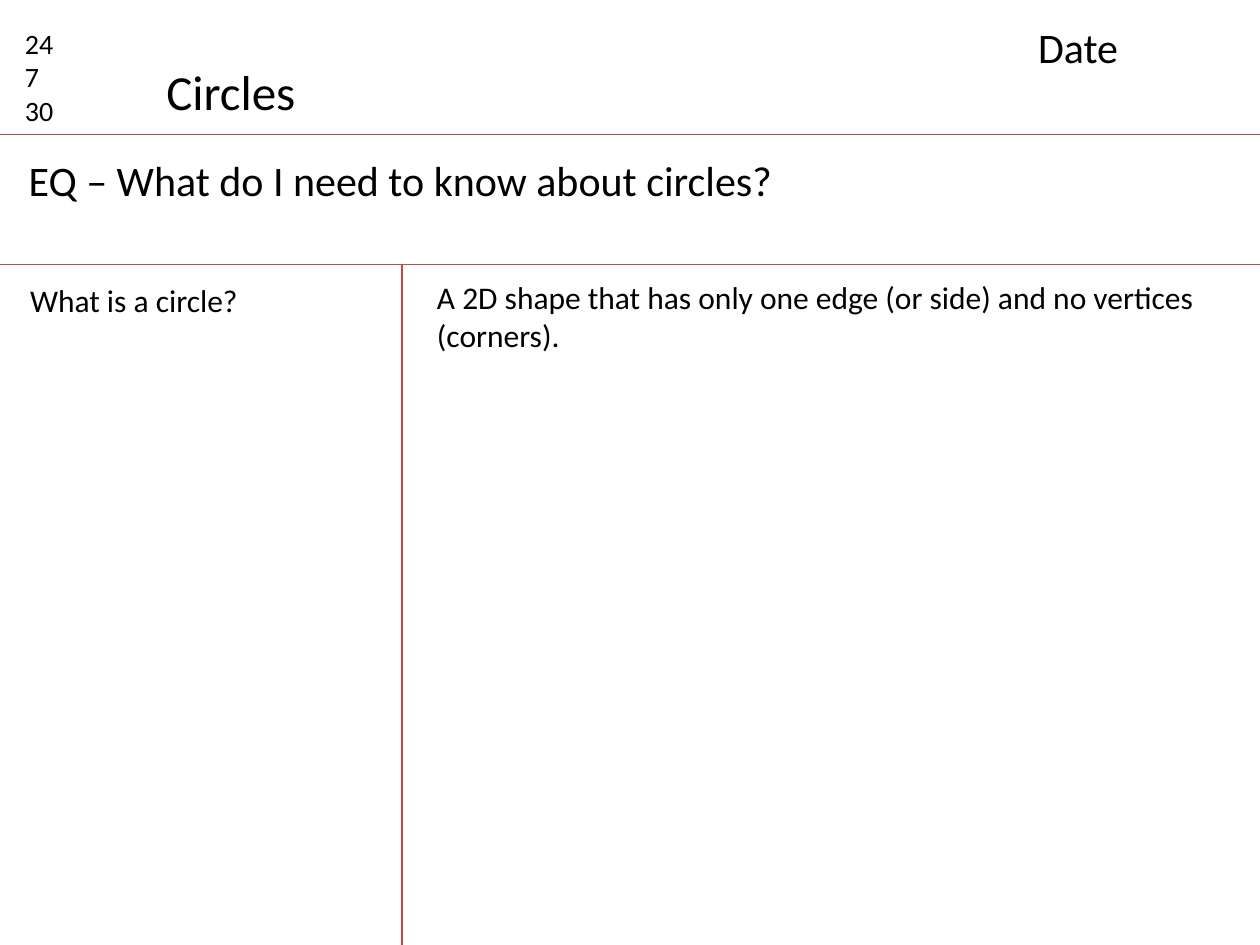
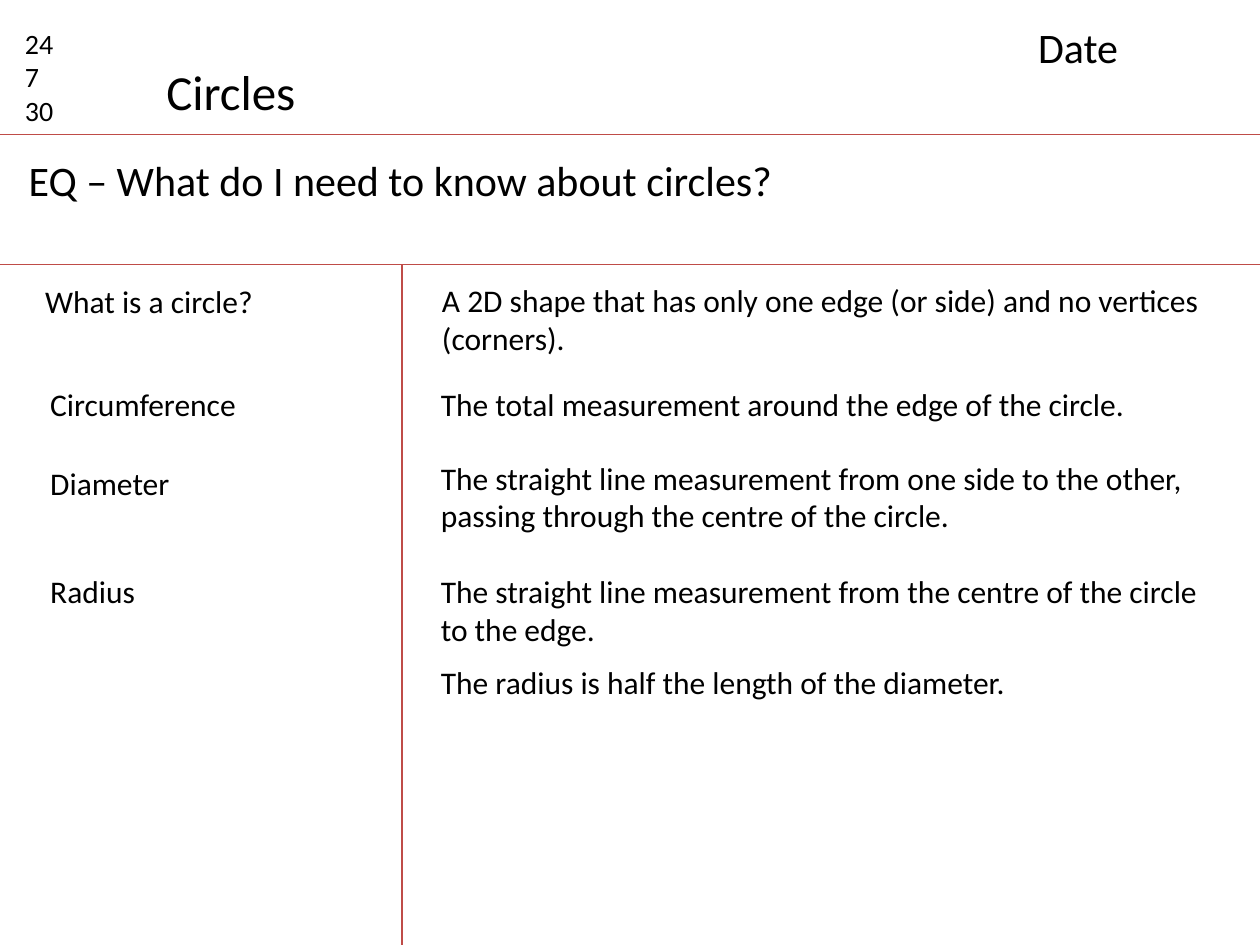
import dataclasses

import pptx
import pptx.dml.color
import pptx.enum.shapes
import pptx.enum.text
import pptx.oxml
import pptx.oxml.ns
import pptx.util

Inches = pptx.util.Inches
TITLE_ONLY = 5


@dataclasses.dataclass(frozen=True)
class Theme:
    """Colours, font and type sizes shared by the slides."""
    font: str = "Calibri"
    ink: str = "000000"
    paper: str = "FFFFFF"
    rule: str = "BF4C48"
    rule_width: float = 0.75
    title: int = 28
    heading: int = 24
    body: int = 18
    tally: int = 16


@dataclasses.dataclass(frozen=True)
class Box:
    """A region of the slide in inches."""
    left: float
    top: float
    width: float
    height: float

    def inner(self, dx, dy, width, height):
        """Return a box placed relative to this one."""
        return Box(self.left + dx, self.top + dy, width, height)

    def lengths(self):
        """Return left, top, width and height as lengths."""
        return [Inches(v) for v in dataclasses.astuple(self)]


THEME = Theme()
WIDTH, HEIGHT = 10, 7.5
HEADER = Box(0, 0, WIDTH, 1.07)
QUESTION = Box(0, 1.07, WIDTH, 1.03)
CUES = Box(0, 2.1, 3.19, HEIGHT - 2.1)
NOTES = Box(3.19, 2.1, WIDTH - 3.19, HEIGHT - 2.1)
ONE_LINE, TWO_LINES = 0.4, 0.71

CIRCLE_CUE = "What is a circle?"
CIRCLE_NOTE = "A 2D shape that has only one edge (or side) and no vertices (corners)."

FIRST_CUES = [(CIRCLE_CUE, 0.14, 0.08, 2.68, ONE_LINE)]
FIRST_NOTES = [(CIRCLE_NOTE, 0.18, 0.06, 6.44, TWO_LINES)]
ALL_CUES = [
    (CIRCLE_CUE, 0.26, 0.09, 2.68, ONE_LINE),
    ("Circumference", 0.3, 0.91, 2.58, ONE_LINE),
    ("Diameter", 0.3, 1.53, 2.22, ONE_LINE),
    ("Radius", 0.3, 2.39, 2.21, ONE_LINE),
]
ALL_NOTES = [
    (CIRCLE_NOTE, 0.22, 0.08, 6.44, TWO_LINES),
    ("The total measurement around the edge of the circle.", 0.21, 0.91, 6.44, ONE_LINE),
    ("The straight line measurement from one side to the other, "
     "passing through the centre of the circle.", 0.21, 1.49, 6.22, TWO_LINES),
    ("The straight line measurement from the centre of the circle to the edge.",
     0.21, 2.39, 6.22, TWO_LINES),
    ("The radius is half the length of the diameter.", 0.21, 3.11, 6.22, ONE_LINE),
]


def rgb(value):
    """Turn a hex string into a colour."""
    return pptx.dml.color.RGBColor.from_string(value)


def set_text(sp, text, size, wrap=True):
    """Fill a shape with left-aligned text in the theme font."""
    tf = sp.text_frame
    tf.text = text
    tf.word_wrap = wrap
    tf.auto_size = pptx.enum.text.MSO_AUTO_SIZE.SHAPE_TO_FIT_TEXT
    tf.vertical_anchor = pptx.enum.text.MSO_ANCHOR.TOP
    for p in tf.paragraphs:
        p.alignment = pptx.enum.text.PP_ALIGN.LEFT
        p.font.name = THEME.font
        p.font.size = pptx.util.Pt(size)
        p.font.color.rgb = rgb(THEME.ink)


def add_text(s, box, text, size):
    """Add a wrapped text box."""
    set_text(s.shapes.add_textbox(*box.lengths()), text, size)


def add_rule(s, x1, y1, x2, y2):
    """Draw a thin ruled line."""
    line = s.shapes.add_connector(
        pptx.enum.shapes.MSO_CONNECTOR.STRAIGHT, *map(Inches, (x1, y1, x2, y2)))
    line.line.color.rgb = rgb(THEME.rule)
    line.line.width = pptx.util.Pt(THEME.rule_width)
    sp_pr = line._element.spPr
    sp_pr.append(pptx.oxml.parse_xml(
        "<a:effectLst %s/>" % pptx.oxml.ns.nsdecls("a")))


def add_header(s, box):
    """Place the tally, title and date above a rule."""
    add_rule(s, box.left, box.top + box.height, box.left + box.width, box.top + box.height)
    add_text(s, box.inner(0.1, 0.16, 0.63, 0.91), "24\n7\n30", THEME.tally)
    title = s.shapes.title
    title.left, title.top, title.width, title.height = box.inner(1.22, 0.44, 1.24, 0.57).lengths()
    set_text(title, "Circles", THEME.title, wrap=False)
    add_text(s, box.inner(8.14, 0.12, 1.73, 0.5), "Date", THEME.heading)


def add_question(s, box):
    """Place the essential question above a rule."""
    add_rule(s, box.left, box.top + box.height, box.left + box.width, box.top + box.height)
    add_text(s, box.inner(0.13, 0.11, 9.43, 0.5),
             "EQ – What do I need to know about circles?", THEME.heading)


def add_column(s, box, entries):
    """Place the entries of one column relative to its box."""
    for text, dx, dy, width, height in entries:
        add_text(s, box.inner(dx, dy, width, height), text, THEME.body)


def add_notes_slide(prs, cues, notes):
    """Build a two-column note-taking page."""
    s = prs.slides.add_slide(prs.slide_layouts[TITLE_ONLY])
    s.background.fill.solid()
    s.background.fill.fore_color.rgb = rgb(THEME.paper)
    add_header(s, HEADER)
    add_question(s, QUESTION)
    add_rule(s, NOTES.left, NOTES.top, NOTES.left, NOTES.top + NOTES.height)
    add_column(s, CUES, cues)
    add_column(s, NOTES, notes)


def main():
    """Build and save the presentation."""
    prs = pptx.Presentation()
    prs.slide_width, prs.slide_height = Inches(WIDTH), Inches(HEIGHT)
    add_notes_slide(prs, FIRST_CUES, FIRST_NOTES)
    add_notes_slide(prs, ALL_CUES, ALL_NOTES)
    prs.save("out.pptx")


if __name__ == "__main__":
    main()
